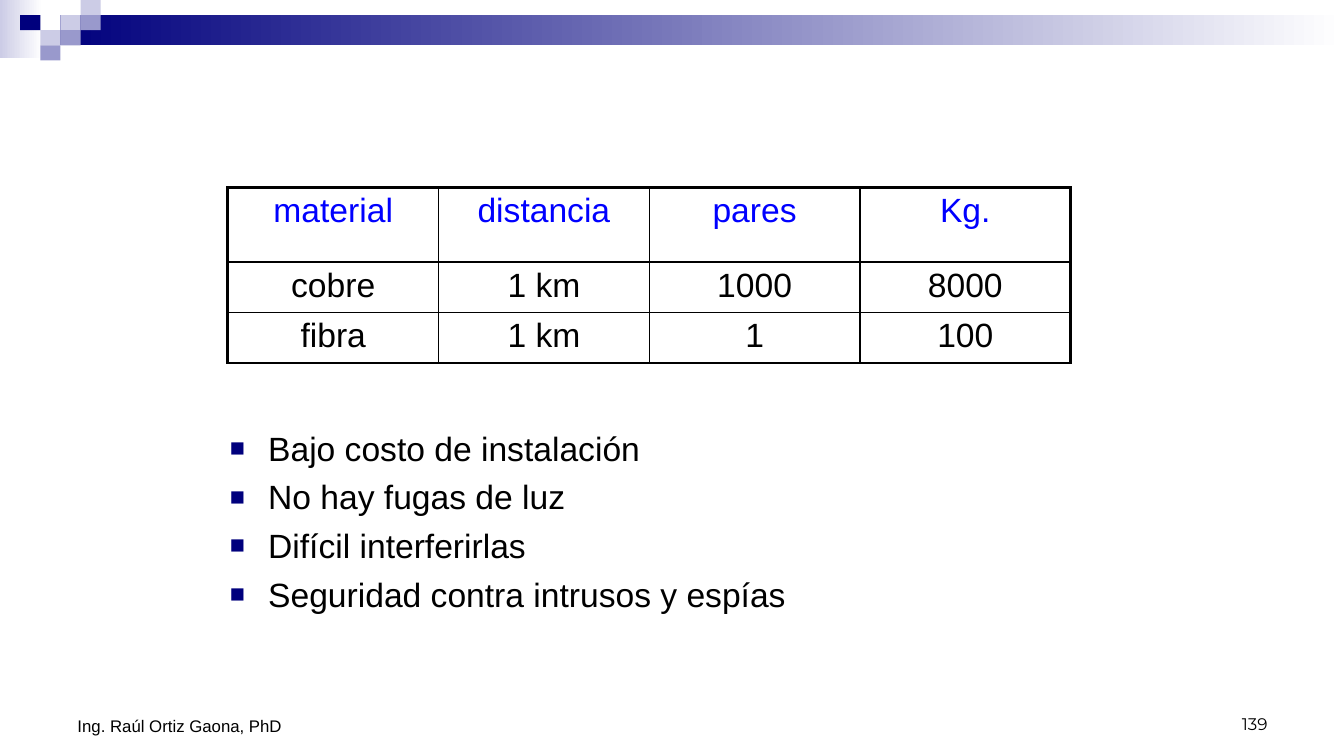
from lxml.etree import SubElement
from pptx import Presentation
from pptx.dml.color import RGBColor
from pptx.enum.shapes import MSO_SHAPE
from pptx.enum.text import MSO_ANCHOR as ANCHOR, PP_ALIGN as ALIGN
from pptx.oxml.ns import qn
from pptx.util import Emu, Pt

EMU_PER_PX = 9144  # 100 px to the inch
NAVY, LILAC, PALE = "00007D", "9999CC", "CCCCE6"
BLACK, WHITE, BLUE = "000000", "FFFFFF", "0000FF"
THIN, THICK = 1, 2.25

ROWS = [
    ["material", "distancia", "pares", "Kg."],
    ["cobre", "1 km", "1000", "8000"],
    ["fibra", "1 km", "1", "100"],
]
ROW_HEIGHTS = [74, 50, 50]
COLUMN_WIDTH = 209
ADVANTAGES = [
    "Bajo costo de instalación",
    "No hay fugas de luz",
    "Difícil interferirlas",
    "Seguridad contra intrusos y espías",
]
# Header mosaic: column, row and colour on a grid of 20 by 15 px
TILES = [
    (3, 1, PALE), (4, 0, PALE), (4, 1, LILAC), (2, 2, PALE),
    (1, 1, NAVY), (3, 2, LILAC), (2, 3, LILAC),
]


def px(length):
    return Emu(length * EMU_PER_PX)


def color(value):
    return RGBColor.from_string(value)


def format_text(paragraph, size=24, font="Arial", fill=BLACK):
    for name, value in {"size": Pt(size), "name": font}.items():
        setattr(paragraph.font, name, value)
    paragraph.font.color.rgb = color(fill)


def add_box(slide, left, top, width, height, *colors):
    """One colour gives a solid box, two a left-to-right gradient."""
    shape = slide.shapes.add_shape(
        MSO_SHAPE.RECTANGLE, px(left), px(top), px(width), px(height))
    shape.shadow.inherit = False
    shape.line.fill.background()
    if len(colors) == 1:
        shape.fill.solid()
        shape.fill.fore_color.rgb = color(colors[0])
    else:
        shape.fill.gradient()
        shape.fill.gradient_angle = 0
        for stop, value in zip(shape.fill.gradient_stops, colors):
            stop.color.rgb = color(value)


def add_header(slide):
    add_box(slide, 0, 0, 42, 58, PALE, WHITE)
    add_box(slide, 60, 15, 1273, 30, NAVY, WHITE)
    for column, row, fill in TILES:
        add_box(slide, column * 20, row * 15, 20, 15, fill)


def add_footer(slide, text, left, height, font, align):
    box = slide.shapes.add_textbox(px(left), px(683), px(311), px(height))
    frame = box.text_frame
    frame.word_wrap = True
    frame.vertical_anchor = ANCHOR.BOTTOM
    paragraph = frame.paragraphs[0]
    paragraph.text = text
    paragraph.alignment = align
    format_text(paragraph, 12, font)


def add_bullet(paragraph):
    properties = paragraph._p.get_or_add_pPr()
    properties.set("marL", str(px(38)))
    properties.set("indent", str(-px(38)))
    bullet_color = SubElement(properties, qn("a:buClr"))
    SubElement(bullet_color, qn("a:srgbClr"), val=NAVY)
    SubElement(properties, qn("a:buSzPct"), val="75000")
    SubElement(properties, qn("a:buFont"), typeface="Arial")
    SubElement(properties, qn("a:buChar"), char="■")


def fill_body(body, lines):
    body.left, body.top, body.width, body.height = map(px, (218, 419, 866, 264))
    frame = body.text_frame
    for index, line in enumerate(lines):
        paragraph = frame.add_paragraph() if index else frame.paragraphs[0]
        paragraph.text = line
        add_bullet(paragraph)
        paragraph.space_before = Pt(6 if index else 0)
        format_text(paragraph)


def set_borders(cell, widths):
    properties = cell._tc.get_or_add_tcPr()
    for side, width in widths.items():
        line = SubElement(properties, qn(f"a:ln{side}"), w=str(Pt(width)))
        fill = SubElement(line, qn("a:solidFill"))
        SubElement(fill, qn("a:srgbClr"), val=BLACK)


def add_weight_table(slide):
    last_row, last_column = len(ROWS) - 1, len(ROWS[0]) - 1
    table = slide.shapes.add_table(
        len(ROWS), len(ROWS[0]), px(226), px(186),
        px(COLUMN_WIDTH * len(ROWS[0])), px(sum(ROW_HEIGHTS))).table
    table.first_row = table.horz_banding = False
    for column in table.columns:
        column.width = px(COLUMN_WIDTH)
    for r, texts in enumerate(ROWS):
        table.rows[r].height = px(ROW_HEIGHTS[r])
        for c, text in enumerate(texts):
            cell = table.cell(r, c)
            # Heavy frame outside, thin rules inside
            set_borders(cell, {
                "L": THICK if c == 0 else THIN,
                "R": THICK if c == last_column else THIN,
                "T": THICK if r == 0 else THIN,
                "B": THICK if r == last_row else THIN,
            })
            cell.fill.background()
            paragraph = cell.text_frame.paragraphs[0]
            paragraph.text = text
            paragraph.alignment = ALIGN.CENTER
            format_text(paragraph, fill=BLACK if r else BLUE)


def main():
    presentation = Presentation()
    presentation.slide_width, presentation.slide_height = px(1333), px(750)
    # Title and content layout, without its title
    slide = presentation.slides.add_slide(presentation.slide_layouts[1])
    title = slide.shapes.title._element
    title.getparent().remove(title)

    add_header(slide)
    add_footer(slide, "139", 956, 50, "Montserrat", ALIGN.RIGHT)
    add_footer(slide, "Ing. Raúl Ortiz Gaona, PhD", 67, 52, "Arial", ALIGN.LEFT)
    fill_body(slide.placeholders[1], ADVANTAGES)
    add_weight_table(slide)
    presentation.save("out.pptx")


if __name__ == "__main__":
    main()
